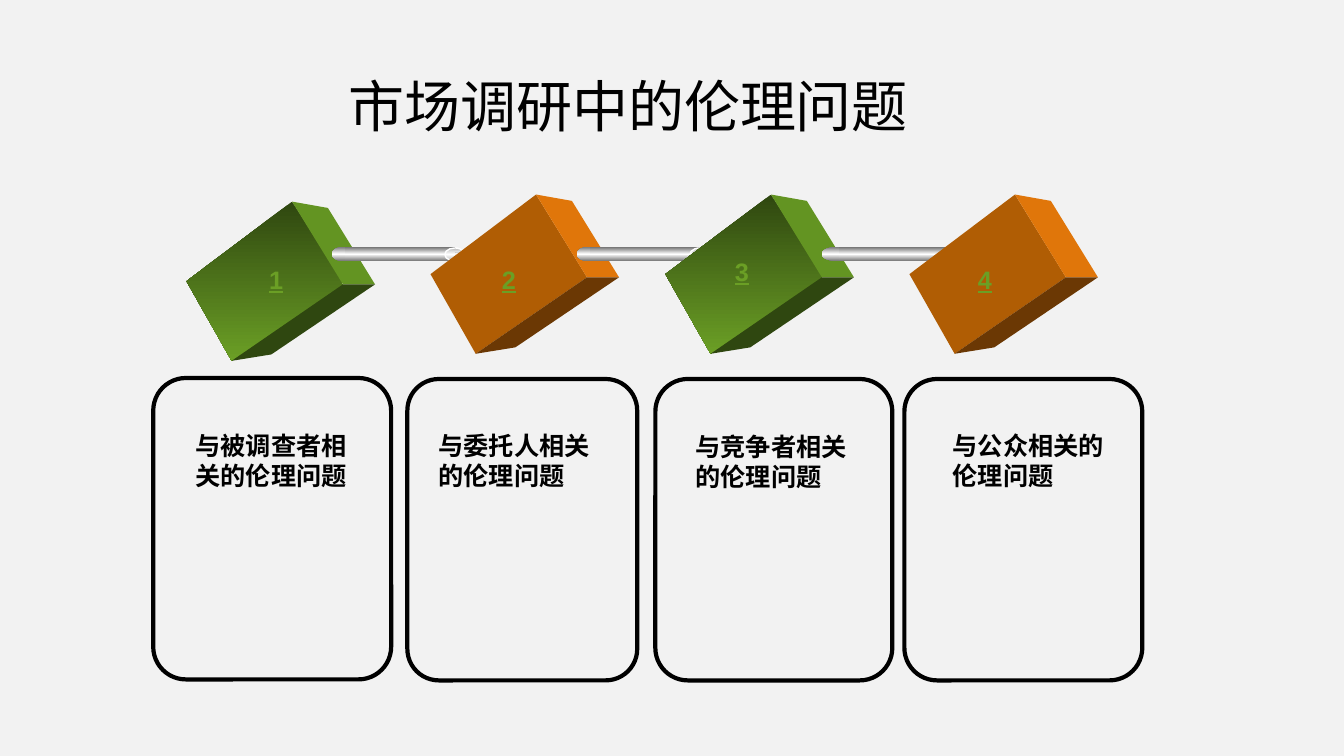
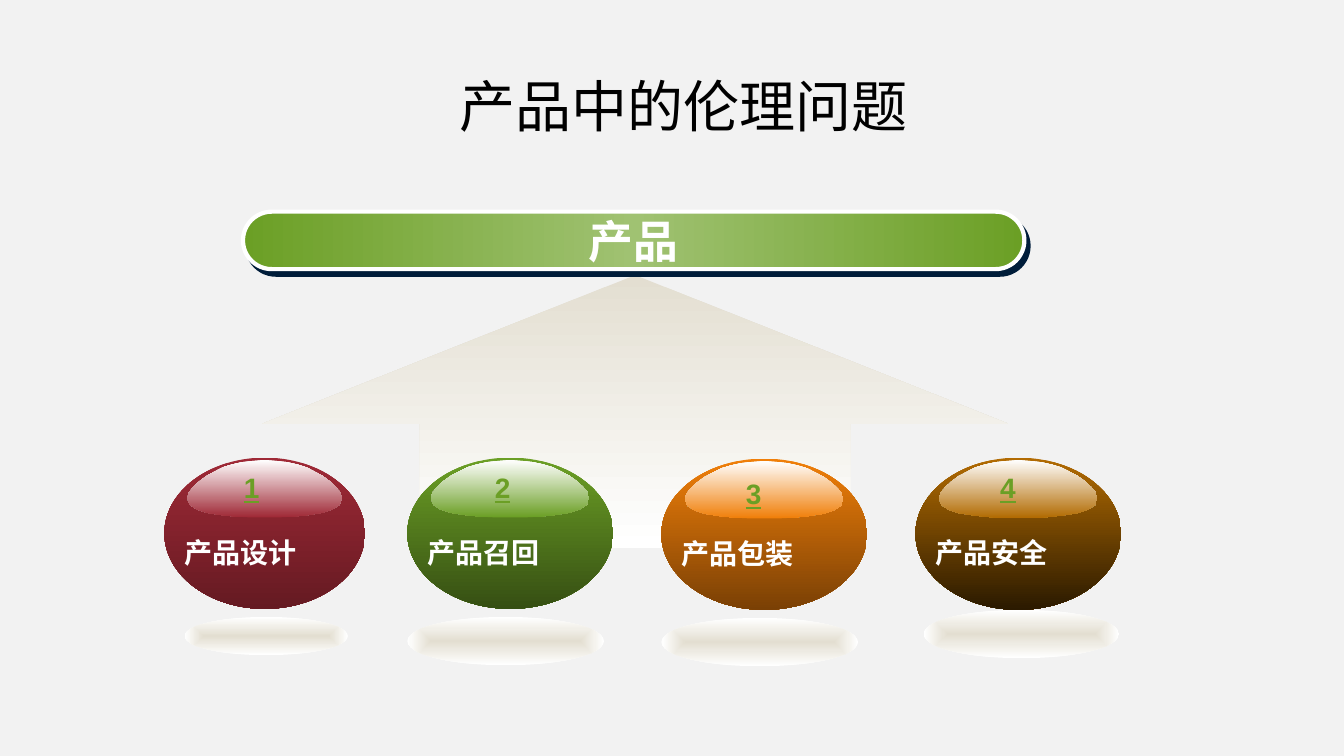
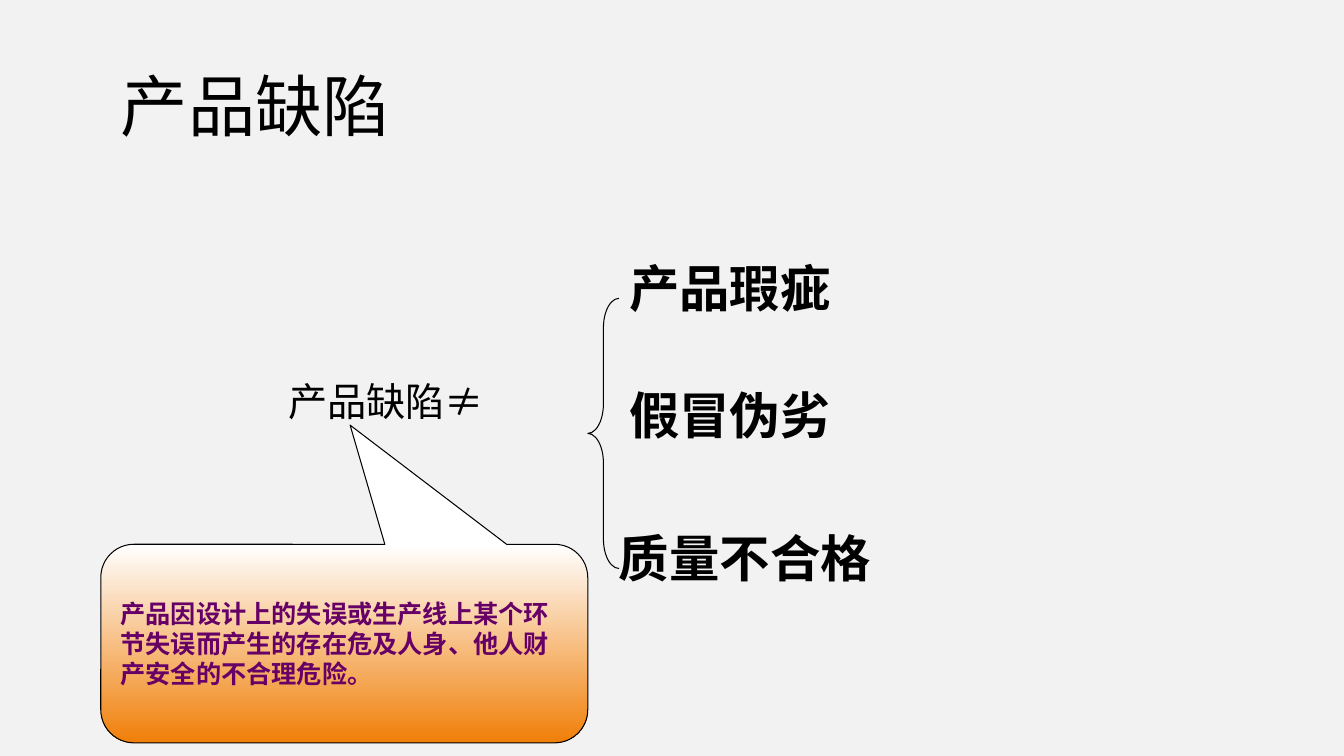
import collections

import pptx
import pptx.dml.color
import pptx.enum.shapes
import pptx.enum.text
import pptx.oxml.ns
import pptx.util
from lxml import etree

Box = collections.namedtuple("Box", "left top width height")
Kind = pptx.enum.shapes.MSO_SHAPE
Align = pptx.enum.text.PP_ALIGN
Anchor = pptx.enum.text.MSO_ANCHOR

PAPER, INK, WHITE = "F2F2F2", "000000", "FFFFFF"
GREEN, SAND, ORANGE = "6B9F25", "E3DED1", "F07F09"
STEEL, PALE_STEEL = ("767676", WHITE, "767676"), ("B6B6B6", WHITE, "B6B6B6")
GREEN_FACES = (("2F4710", GREEN), "639422", "2F4710")
ORANGE_FACES = ("B05D04", "E0760A", "6B3804")

BLOCK_OUTLINES = (
    ((0, 0.5), (0.56, 0), (0.83, 0.52), (0.24, 1)),
    ((0.56, 0), (0.75, 0.04), (1, 0.52), (0.83, 0.52)),
    ((0.83, 0.52), (1, 0.52), (0.45, 0.96), (0.24, 1)),
)
GLOSS_HALF = (
    (0, 0), (0.16, 0.02), (0.29, 0.04), (0.42, 0.08), (0.54, 0.13), (0.64, 0.2),
    (0.75, 0.28), (0.84, 0.37), (0.92, 0.47), (0.98, 0.57), (1, 0.67), (0.97, 0.78),
    (0.88, 0.86), (0.75, 0.92), (0.56, 0.96), (0.35, 0.99), (0.2, 1),
)
GLOSS_OUTLINE = [(0.5 + x / 2, y) for x, y in GLOSS_HALF] + [
    (0.5 - x / 2, y) for x, y in reversed(GLOSS_HALF)]


def color(value):
    """Turn a hex string into a colour."""
    return pptx.dml.color.RGBColor.from_string(value)


def part(box, left, top, width, height):
    """Return the box covering the given shares of another box."""
    return Box(box.left + left * box.width, box.top + top * box.height,
               width * box.width, height * box.height)


def emu(box):
    """Convert a box in inches to slide units."""
    return [pptx.util.Inches(length) for length in box]


def add_child(parent, tag, **attributes):
    """Append a drawing element to a parent."""
    return etree.SubElement(parent, pptx.oxml.ns.qn(tag), attributes)


def paint(shape, fill=None, line=None, weight=1, angle=90, radial=False):
    """Set a plain or graded fill and the outline of a shape."""
    shape.shadow.inherit = False
    if fill is None:
        shape.fill.background()
    elif isinstance(fill, str):
        shape.fill.solid()
        shape.fill.fore_color.rgb = color(fill)
    else:
        shape.fill.gradient()
        grade = shape.element.spPr.find(pptx.oxml.ns.qn("a:gradFill"))
        for child in list(grade):
            grade.remove(child)
        stops = add_child(grade, "a:gsLst")
        for index, value in enumerate(fill):
            stop = add_child(stops, "a:gs", pos=str(100000 * index // (len(fill) - 1)))
            add_child(stop, "a:srgbClr", val=value)
        if radial:
            focus = add_child(grade, "a:path", path="shape")
            add_child(focus, "a:fillToRect", **dict.fromkeys("ltrb", "50000"))
        else:
            add_child(grade, "a:lin", ang=str(angle * 60000), scaled="0")
    if line:
        shape.line.color.rgb = color(line)
        shape.line.width = pptx.util.Pt(weight)
    else:
        shape.line.fill.background()


def add_form(page, kind, box, adjust=(), **look):
    """Add a preset shape in a box."""
    shape = page.shapes.add_shape(kind, *emu(box))
    for index, value in enumerate(adjust):
        shape.adjustments[index] = value
    paint(shape, **look)
    return shape


def add_outline(page, box, points, fill):
    """Add a closed outline whose points are shares of a box."""
    corners = [emu((box.left + x * box.width, box.top + y * box.height)) for x, y in points]
    builder = page.shapes.build_freeform(*corners[0], scale=1.0)
    builder.add_line_segments(corners[1:], close=True)
    paint(builder.convert_to_shape(), fill)


def write(shape, text, size, ink=INK, align=Align.LEFT, anchor=Anchor.TOP, spacing=None, **style):
    """Write one formatted paragraph into a shape."""
    frame = shape.text_frame
    layout = {"word_wrap": True, "auto_size": pptx.enum.text.MSO_AUTO_SIZE.NONE,
              "vertical_anchor": anchor}
    for name, value in layout.items():
        setattr(frame, name, value)
    para = frame.paragraphs[0]
    para.alignment = align
    if spacing:
        para.line_spacing = spacing
    span = para.add_run()
    span.text = text
    for name, value in {"name": "Arial", "size": pptx.util.Pt(size), **style}.items():
        setattr(span.font, name, value)
    span.font.color.rgb = color(ink)


def add_text(page, box, text, size, **style):
    """Add a text box."""
    write(page.shapes.add_textbox(*emu(box)), text, size, **style)


def add_number(page, box, number, size):
    """Add an underlined green number."""
    add_text(page, box, str(number), size, ink=GREEN, bold=True, underline=True)


def add_page(deck, title, box, size=40, align=Align.CENTER):
    """Add a title-only slide with its title in a box."""
    page = deck.slides.add_slide(deck.slide_layouts[5])
    holder = page.shapes.title
    holder.left, holder.top, holder.width, holder.height = emu(box)
    write(holder, title, size, align=align, anchor=Anchor.MIDDLE, spacing=0.9,
          name="Montserrat")
    return page


def add_block(page, box, faces):
    """Draw a tilted block from its front, side and base."""
    for points, fill in zip(BLOCK_OUTLINES, faces):
        add_outline(page, box, points, fill)


def add_rod(page, box):
    """Draw a steel rod with a cap at the left and a ring at the right."""
    add_form(page, Kind.OVAL, part(box, 0, 0, 0.17, 1), fill=STEEL)
    add_form(page, Kind.RECTANGLE, part(box, 0.1, 0.03, 0.83, 0.97), fill=STEEL)
    add_form(page, Kind.OVAL, part(box, 0.85, 0.07, 0.15, 0.93), fill=PALE_STEEL, line=WHITE)
    add_form(page, Kind.OVAL, part(box, 0.93, 0.33, 0.04, 0.3), fill=PALE_STEEL)


def add_card(page, box, text_box, text):
    """Draw a rounded frame with its heading."""
    add_form(page, Kind.ROUNDED_RECTANGLE, box, (0.137,), line=INK, weight=3)
    add_text(page, text_box, text, 18, bold=True)


def add_sphere(page, box, label, number, number_at, shades, shadow):
    """Draw a glossy ellipse with its number, label and shadow."""
    add_form(page, Kind.OVAL, box, fill=shades)
    add_outline(page, part(box, 0.115, 0.015, 0.77, 0.38), GLOSS_OUTLINE, (WHITE, shades[0]))
    add_text(page, part(box, 0.05, 0.48, 0.92, 0.29), label, 20, ink=WHITE, bold=True,
             name="Noto Sans CJK SC")
    add_form(page, Kind.OVAL, shadow, fill=(SAND, WHITE), radial=True)
    add_number(page, Box(*number_at, 0.47, 0.43), number, 20)


def add_banner(page, box, text):
    """Draw the rounded banner with its hard shadow."""
    banner = add_form(page, Kind.ROUNDED_RECTANGLE, box, (0.5,), fill=(GREEN, "A0C272", GREEN),
                      angle=0, line=WHITE, weight=3)
    effects = banner.element.spPr.find(pptx.oxml.ns.qn("a:effectLst"))
    shadow = add_child(effects, "a:outerShdw", dist=str(pptx.util.Pt(5)),
                       dir=str(53 * 60000), algn="ctr", rotWithShape="0")
    add_child(shadow, "a:srgbClr", val="001D3A")
    write(banner, text, 32, ink=WHITE, align=Align.CENTER, anchor=Anchor.MIDDLE, bold=True,
          name="DejaVu Sans")


def add_research_page(deck):
    """Build the chain of four research questions."""
    page = add_page(deck, "市场调研中的伦理问题", Box(1.1, 0.68, 10.26, 0.82))
    cards = (
        (Box(1.52, 3.75, 2.36, 2.99), Box(1.84, 4.22, 1.79, 0.71), "与被调查者相关的伦理问题"),
        (Box(4.04, 3.76, 2.28, 2.99), Box(4.25, 4.22, 1.84, 0.71), "与委托人相关的伦理问题"),
        (Box(6.5, 3.76, 2.35, 2.99), Box(6.8, 4.23, 1.89, 0.71), "与竞争者相关的伦理问题"),
        (Box(8.97, 3.76, 2.36, 2.99), Box(9.35, 4.22, 1.78, 0.71), "与公众相关的伦理问题"),
    )
    for card in cards:
        add_card(page, *card)
    links = (
        (1.85, 2, GREEN_FACES, (2.57, 2.57), 1.32),
        (4.27, 1.93, ORANGE_FACES, (4.88, 2.57), 1.32),
        (6.6, 1.93, GREEN_FACES, (7.19, 2.49), 1.72),
        (9.02, 1.93, ORANGE_FACES, (9.6, 2.57), 0),
    )
    for index, (left, top, faces, number_at, rod_width) in enumerate(links):
        add_block(page, Box(left, top, 1.87, 1.58), faces)
        if rod_width:
            add_rod(page, Box(3.29 + 2.43 * index, 2.45, rod_width, 0.14))
        add_number(page, Box(*number_at, 0.47, 0.4), index + 1, 18)


def add_product_page(deck):
    """Build the four product questions under their banner."""
    page = add_page(deck, "产品中的伦理问题", Box(1.78, 0.68, 10, 0.82))
    add_form(page, Kind.UP_ARROW, Box(2.6, 2.73, 7.4, 2.71), (0.578, 0.544), fill=(SAND, WHITE))
    add_banner(page, Box(2.41, 2.1, 7.75, 0.57), "产品")
    spheres = (
        (Box(1.63, 4.54, 1.99, 1.5), "产品设计", (2.32, 4.62), ("9F2936", "651A22"),
         Box(1.83, 6.12, 1.62, 0.38)),
        (Box(4.04, 4.54, 2.04, 1.5), "产品召回", (4.81, 4.62), (GREEN, "364F13"),
         Box(4.04, 6.12, 1.95, 0.48)),
        (Box(6.56, 4.55, 2.04, 1.5), "产品包装", (7.3, 4.68), (ORANGE, "7A4005"),
         Box(6.56, 6.13, 1.95, 0.48)),
        (Box(9.08, 4.54, 2.04, 1.51), "产品安全", (9.82, 4.62), ("B26B02", "2B1A00"),
         Box(9.16, 6.05, 1.94, 0.48)),
    )
    for number, (box, label, number_at, shades, shadow) in enumerate(spheres, 1):
        add_sphere(page, box, label, number, number_at, shades, shadow)


def add_defect_page(deck):
    """Build the comparison of a defect with what it is not."""
    page = add_page(deck, "产品缺陷", Box(1.1, 0.68, 10.26, 0.82), 48, Align.LEFT)
    add_text(page, Box(1.73, 3.75, 4.2, 0.94), "产品缺陷≠", 28, align=Align.CENTER, spacing=0.9)
    callout = add_form(page, Kind.ROUNDED_RECTANGULAR_CALLOUT, Box(1, 5.4, 4.83, 1.97),
                       (0.012, -1.1, 0.167), fill=(WHITE, ORANGE), line=INK, weight=0.75)
    write(callout, "产品因设计上的失误或生产线上某个环节失误而产生的存在危及人身、他人财产安全的不合理危险。",
          18, ink="660066", anchor=Anchor.MIDDLE, bold=True)
    for left, top, text in ((6.14, 2.57, "产品瑕疵"), (6.14, 3.83, "假冒伪劣"),
                            (6.04, 5.25, "质量不合格")):
        add_text(page, Box(left, top, 3.78, 0.71), text, 36, bold=True, spacing=0.9)
    add_form(page, Kind.LEFT_BRACE, Box(5.83, 2.96, 0.31, 2.68), (0.945, 0.5),
             line=INK, weight=0.75)


def main():
    """Build and save the deck."""
    deck = pptx.Presentation()
    deck.slide_width, deck.slide_height = emu((13.33, 7.5))
    backdrop = deck.slide_master.background.fill
    backdrop.solid()
    backdrop.fore_color.rgb = color(PAPER)
    for add_slide in (add_research_page, add_product_page, add_defect_page):
        add_slide(deck)
    deck.save("out.pptx")


if __name__ == "__main__":
    main()
